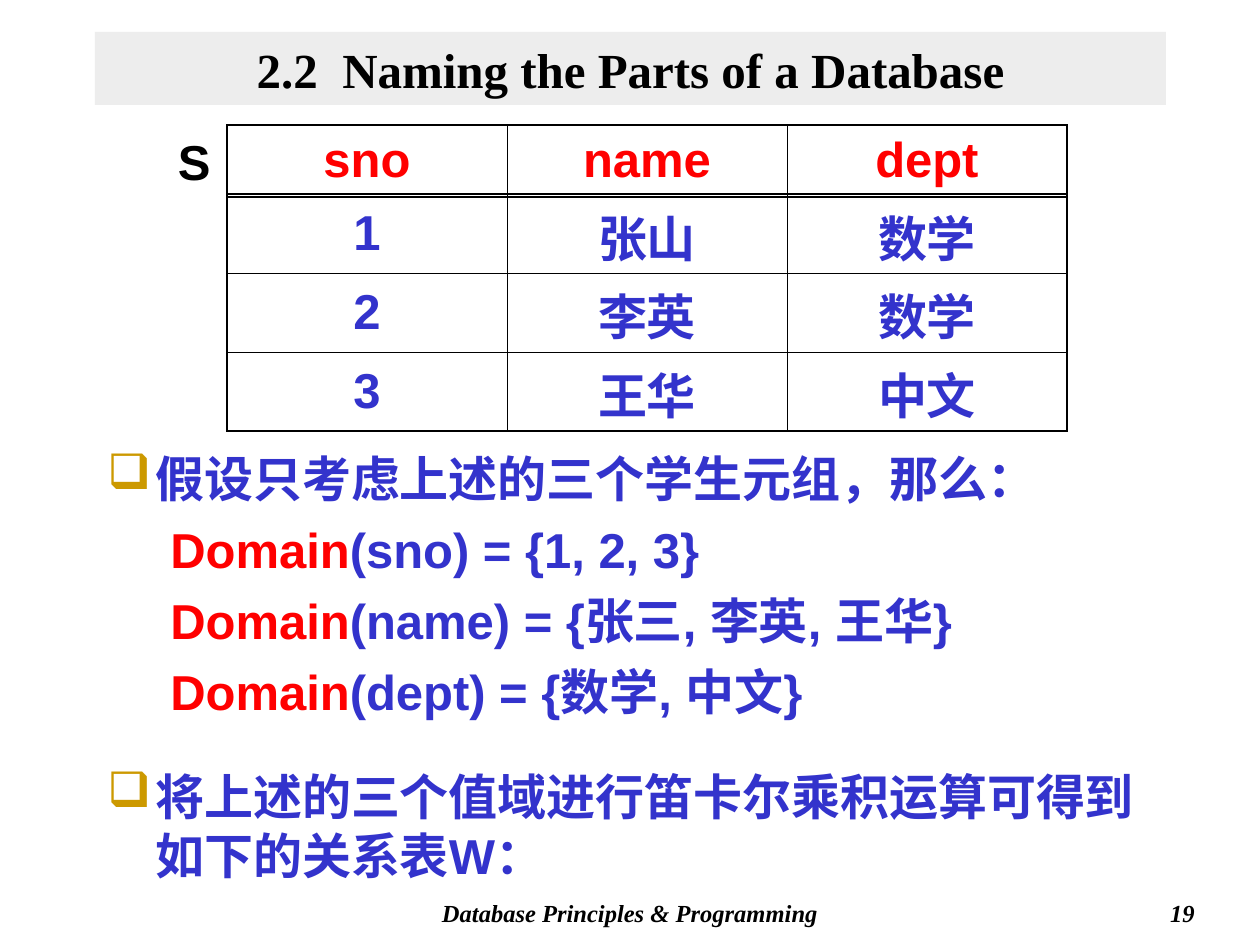
from dataclasses import dataclass
from lxml.etree import SubElement
from pptx import Presentation
from pptx.dml.color import RGBColor as Rgb
from pptx.enum.shapes import MSO_SHAPE as Shape
from pptx.enum.text import MSO_ANCHOR as Anchor, PP_ALIGN as Align
from pptx.oxml import parse_xml
from pptx.oxml.ns import nsdecls, qn
from pptx.util import Emu, Pt


@dataclass(frozen=True)
class Theme:
    ink: str = "000000"
    blue: str = "3333CC"
    red: str = "FF0000"
    bullet: str = "CC9900"
    band: str = "DDDDDD"
    paper: str = "FFFFFF"
    serif: str = "Times New Roman"
    sans: str = "Arial"
    large: float = 28
    small: float = 14
    gap: float = 7
    thick: float = 1.08
    thin: float = 0.45


def px(length):
    return Emu(round(length * 914400 / 126))


def apply(target, values):
    for name, value in values.items():
        setattr(target, name, value)


class SlideBuilder:
    def __init__(self, page, theme):
        self.page = page
        self.theme = theme
        self.body_font = {"name": theme.sans, "size": Pt(theme.large), "bold": True}
        self.title_font = {**self.body_font, "name": theme.serif}
        self.footer_font = {**self.title_font, "size": Pt(theme.small), "italic": True}

    def fill_text(self, frame, lines, font, align=Align.LEFT, anchor=Anchor.TOP):
        apply(frame, {"word_wrap": True, "vertical_anchor": anchor})
        for index, (spans, indent, marker) in enumerate(lines):
            para = frame.add_paragraph() if index else frame.paragraphs[0]
            para.alignment = align
            if index:
                para.space_before = Pt(self.theme.gap)
            if indent:
                self.indent(para, *indent, marker)
            for text, color in spans:
                span = para.add_run()
                span.text = text
                apply(span.font, font)
                span.font.color.rgb = Rgb.from_string(color)

    def indent(self, para, margin, hanging, marker):
        props = para._p.get_or_add_pPr()
        props.set("marL", str(px(margin)))
        props.set("indent", str(px(-hanging)))
        if marker:
            color = SubElement(props, qn("a:buClr"))
            SubElement(color, qn("a:srgbClr"), val=self.theme.bullet)
            SubElement(props, qn("a:buChar"), char=marker)
        else:
            SubElement(props, qn("a:buNone"))

    def text(self, place, lines, font, **layout):
        box = self.page.shapes.add_textbox(*map(px, place))
        self.fill_text(box.text_frame, lines, font, **layout)

    def panel(self, place, lines, font, fill, opacity=100, **layout):
        panel = self.page.shapes.add_shape(Shape.RECTANGLE, *map(px, place))
        panel.shadow.inherit = False
        panel.fill.solid()
        panel.fill.fore_color.rgb = Rgb.from_string(fill)
        panel.line.fill.background()
        if opacity < 100:
            color = panel.element.spPr.find(f".//{qn('a:srgbClr')}")
            SubElement(color, qn("a:alpha"), val=str(opacity * 1000))
        self.fill_text(panel.text_frame, lines, font, **layout)

    def table(self, left, top, column_width, row_height, rows, color):
        row_count, column_count = len(rows), len(rows[0])
        size = column_width * column_count, row_height * row_count
        table = self.page.shapes.add_table(
            row_count, column_count, *map(px, (left, top, *size))).table
        apply(table, {"first_row": False, "horz_banding": False})
        for column in table.columns:
            column.width = px(column_width)
        for y, row in enumerate(rows):
            table.rows[y].height = px(row_height)
            for x, value in enumerate(row):
                cell = table.cell(y, x)
                cell.vertical_anchor = Anchor.MIDDLE
                cell.fill.background()
                self.fill_text(cell.text_frame, [plain(value, color)], self.body_font,
                               align=Align.CENTER, anchor=Anchor.MIDDLE)
                self.borders(cell, {"L": x == 0, "R": x == column_count - 1,
                                    "T": y == 0, "B": y == row_count - 1})

    def borders(self, cell, edges):
        props = cell._tc.get_or_add_tcPr()
        for index, (side, outer) in enumerate(edges.items()):
            width = Pt(self.theme.thick if outer else self.theme.thin)
            props.insert(index, parse_xml(
                f'<a:ln{side} {nsdecls("a")} w="{width}"><a:solidFill>'
                f'<a:srgbClr val="{self.theme.ink}"/></a:solidFill></a:ln{side}>'))


def plain(text, color):
    return [(text, color)], None, None


def main():
    theme = Theme()
    deck = Presentation()
    apply(deck, {"slide_width": px(1260), "slide_height": px(945)})
    page = deck.slides.add_slide(deck.slide_layouts[6])
    builder = SlideBuilder(page, theme)

    def bullet(text):
        return [(text, theme.blue)], (48, 48), "❑"

    def domain(text):
        return [("Domain", theme.red), (text, theme.blue)], (102, 39), None

    builder.text((357, 892, 546, 42),
                 [plain("Database Principles & Programming", theme.ink)],
                 builder.footer_font, align=Align.CENTER)
    builder.text((945, 892, 262, 42), [plain("19", theme.ink)],
                 builder.footer_font, align=Align.RIGHT)
    builder.panel((95, 32, 1071, 73),
                  [plain("2.2  Naming the Parts of a Database", theme.ink)],
                  builder.title_font, theme.band, opacity=50,
                  align=Align.CENTER, anchor=Anchor.MIDDLE)
    builder.text((95, 442, 1071, 358), [
        bullet("假设只考虑上述的三个学生元组，那么："),
        domain("(sno) = {1, 2, 3}"),
        domain("(name) = {张三, 李英, 王华}"),
        domain("(dept) = {数学, 中文}"),
    ], builder.body_font)
    builder.table(227, 125, 280, 72, [("sno", "name", "dept")], theme.red)
    builder.table(227, 194, 280, 79, [
        ("1", "张山", "数学"),
        ("2", "李英", "数学"),
        ("3", "王华", "中文"),
    ], theme.blue)
    builder.text((154, 125, 69, 72), [plain("S", theme.ink)],
                 builder.body_font, align=Align.RIGHT)
    builder.panel((95, 760, 1071, 129),
                  [bullet("将上述的三个值域进行笛卡尔乘积运算可得到如下的关系表W：")],
                  builder.body_font, theme.paper)
    deck.save("out.pptx")


if __name__ == "__main__":
    main()
